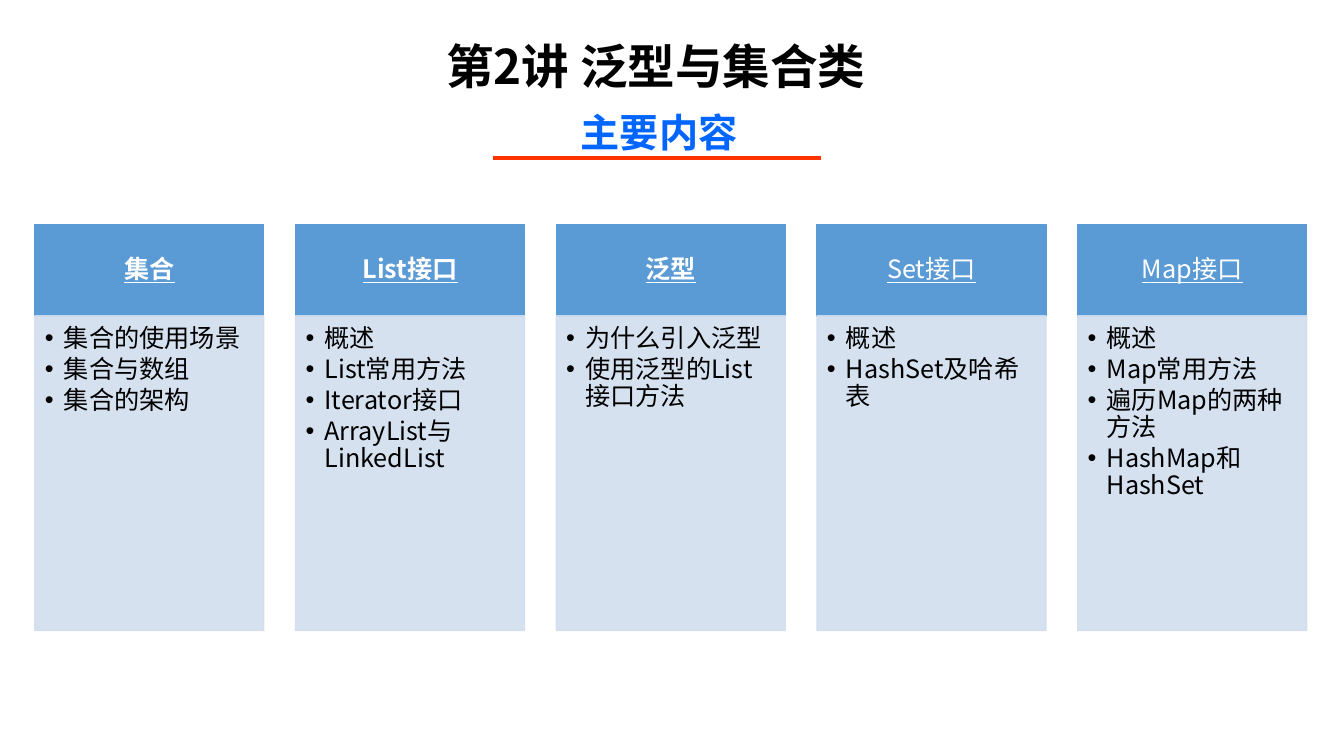
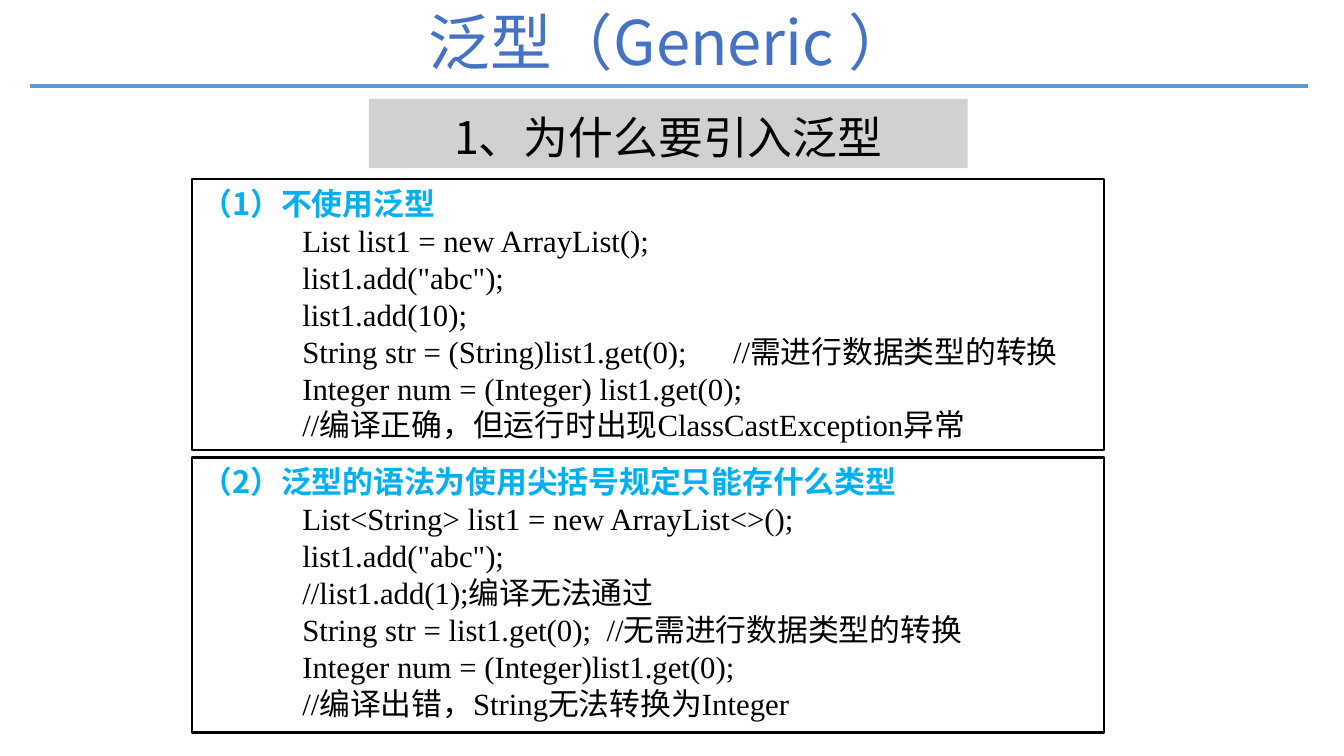
"""Build two lecture slides on generics and collections."""
from pptx import Presentation
from pptx.util import Cm, Pt
from pptx.dml.color import RGBColor
from pptx.enum.shapes import MSO_SHAPE as Shape, MSO_CONNECTOR as Link
from pptx.enum.text import MSO_ANCHOR as Anchor, PP_ALIGN as Align
from pptx.oxml.ns import qn
from lxml.etree import SubElement as Sub

SANS, BODY, SERIF = "Noto Sans CJK SC", "Calibri", "Times New Roman"
BLACK, WHITE, BLUE, PALE = "000000", "FFFFFF", "5B9BD5", "D2DEEF"
RED, LINK, INDIGO, CYAN, GREY = "FF3300", "0066FF", "4472C4", "00B0F0", "A5A5A5"
INSET = (0.25, 0.13, 0.25, 0.13)

CARDS = [
    ("集合", True, ["集合的使用场景", "集合与数组", "集合的架构"]),
    ("List接口", True, ["概述", "List常用方法", "Iterator接口", "ArrayList与LinkedList"]),
    ("泛型", True, ["为什么引入泛型", "使用泛型的List接口方法"]),
    ("Set接口", False, ["概述", "HashSet及哈希表"]),
    ("Map接口", False, ["概述", "Map常用方法", "遍历Map的两种方法", "HashMap和HashSet"]),
]
CARD_X, CARD_Y, CARD_W, HEAD_H, LIST_H, STEP = 0.88, 5.66, 5.77, 2.3, 7.93, 6.57

# Each code line is a list of parts; a number is a gap in points.
CODES = [
    (4.52, 6.83, "（1）不使用泛型", [
        ["List list1 = new ArrayList();"],
        ['list1.add("abc");'],
        ["list1.add(10);"],
        ["String str = (String)list1.get(0);", 27.5, "//需进行数据类型的转换"],
        ["Integer num = (Integer) list1.get(0);"],
        ["//编译正确，但运行时出现ClassCastException异常"],
    ]),
    (11.53, 6.93, "（2）泛型的语法为使用尖括号规定只能存什么类型", [
        ["List<String> list1 = new ArrayList<>();"],
        ['list1.add("abc");'],
        ["//list1.add(1);编译无法通过"],
        ["String str = list1.get(0);", 5.5, "//无需进行数据类型的转换"],
        ["Integer num = (Integer)list1.get(0);"],
        ["//编译出错，String无法转换为Integer"],
    ]),
]


def rgb(code):
    """Turn a hex string into a colour."""
    return RGBColor.from_string(code)


def style(run, size, color, face=SANS, bold=False, under=False):
    """Set the font of a run."""
    font = run.font
    font.size, font.name, font.bold, font.underline = Pt(size), face, bold, under
    font.color.rgb = rgb(color)
    Sub(run._r.get_or_add_rPr(), qn("a:ea")).set("typeface", SANS)


def frame(shape, anchor=Anchor.TOP, inset=INSET):
    """Wrap the text of a shape and set its anchor and margins."""
    text = shape.text_frame
    text.word_wrap, text.vertical_anchor = True, anchor
    (text.margin_left, text.margin_top,
     text.margin_right, text.margin_bottom) = map(Cm, inset)
    return text


def write(para, words, align=Align.CENTER, space=1.0, **font):
    """Fill a paragraph with one styled run."""
    para.text, para.alignment, para.line_spacing = words, align, space
    style(para.runs[0], **font)


def label(slide, box, words, anchor=Anchor.MIDDLE, space=0.9, **font):
    """Add a centred line of text."""
    text = frame(slide.shapes.add_textbox(*map(Cm, box)), anchor)
    write(text.paragraphs[0], words, space=space, **font)
    return text.paragraphs[0]


def block(slide, box, fill=None, line=None, width=1, alpha=None):
    """Add a flat rectangle."""
    shape = slide.shapes.add_shape(Shape.RECTANGLE, *map(Cm, box))
    shape.shadow.inherit = False
    if fill:
        shape.fill.solid()
        shape.fill.fore_color.rgb = rgb(fill)
    else:
        shape.fill.background()
    if line:
        shape.line.color.rgb, shape.line.width = rgb(line), Pt(width)
    else:
        shape.line.fill.background()
    if alpha:
        for tint in list(shape._element.spPr.iter(qn("a:srgbClr"))):
            Sub(tint, qn("a:alpha")).set("val", str(alpha * 1000))
    return shape


def rule(slide, left, right, top, color, width):
    """Draw a level line."""
    line = slide.shapes.add_connector(Link.STRAIGHT, Cm(left), Cm(top), Cm(right), Cm(top))
    line.line.color.rgb, line.line.width = rgb(color), Pt(width)
    Sub(line._element.spPr, qn("a:effectLst"))


def bullet(para):
    """Give a paragraph a hanging bullet."""
    props = para._p.get_or_add_pPr()
    props.set("marL", str(Cm(0.48)))
    props.set("indent", str(-Cm(0.48)))
    Sub(props, qn("a:buFont")).set("typeface", "Arial")
    Sub(props, qn("a:buChar")).set("char", "•")


def card(slide, left, head, bold, items):
    """Add a headed list."""
    top = block(slide, (left, CARD_Y, CARD_W, HEAD_H), BLUE, BLUE)
    text = frame(top, Anchor.MIDDLE, (0.36, 0.2, 0.36, 0.2))
    write(text.paragraphs[0], head, space=0.9, size=18, color=WHITE, bold=bold, under=True)
    low = block(slide, (left, CARD_Y + HEAD_H, CARD_W, LIST_H), PALE, PALE, alpha=90)
    text = frame(low, inset=(0.25, 0.25, 0.36, 0.41))
    text.text = "\n".join(items)
    for para, item in zip(text.paragraphs, items):
        write(para, item, Align.LEFT, 0.9, size=18, color=BLACK)
        para.space_after = Pt(2.7)
        bullet(para)


def code(slide, top, high, head, lines):
    """Add a framed code sample."""
    text = frame(block(slide, (4.83, top, 22.99, high), line=BLACK, width=1.5))
    write(text.paragraphs[0], head, Align.LEFT, size=22, color=CYAN, bold=True)
    for parts in lines:
        para = text.add_paragraph()
        para.alignment = Align.LEFT
        para._p.get_or_add_pPr().set("marL", str(Cm(2.54)))
        for part in parts:
            run = para.add_run()
            gap = not isinstance(part, str)
            run.text = " " if gap else part
            style(run, 22, BLACK, SERIF)
            if gap:
                run._r.get_or_add_rPr().set("spc", str(int(part * 100)))


def outline(slide):
    """Build the contents slide."""
    label(slide, (7.59, 0.3, 17.88, 2.87), "第2讲 泛型与集合类", size=34, color=BLACK, bold=True)
    para = label(slide, (5.18, 2.01, 22.86, 2.2), "主要内容", Anchor.TOP, 1.5,
                 size=28, color=LINK, face=BODY, bold=True)
    para.space_before = Pt(10)
    rule(slide, 12.42, 20.68, 3.99, RED, 3)
    for num, (head, bold, items) in enumerate(CARDS):
        card(slide, CARD_X + num * STEP, head, bold, items)


def generic(slide):
    """Build the generics slide."""
    rule(slide, 0.76, 32.97, 2.16, BLUE, 2.75)
    label(slide, (0.76, -0.69, 32.21, 3.68), "泛型（Generic ）", size=44, color=INDIGO)
    text = frame(block(slide, (9.3, 2.49, 15.09, 1.75), GREY, alpha=50))
    write(text.paragraphs[0], "1、为什么要引入泛型", space=1.1, size=32, color=BLACK)
    for sample in CODES:
        code(slide, *sample)


def main():
    """Build and save the deck."""
    deck = Presentation()
    deck.slide_width, deck.slide_height = Cm(33.87), Cm(19.05)
    for build in (outline, generic):
        build(deck.slides.add_slide(deck.slide_layouts[6]))
    deck.save("out.pptx")


if __name__ == "__main__":
    main()
